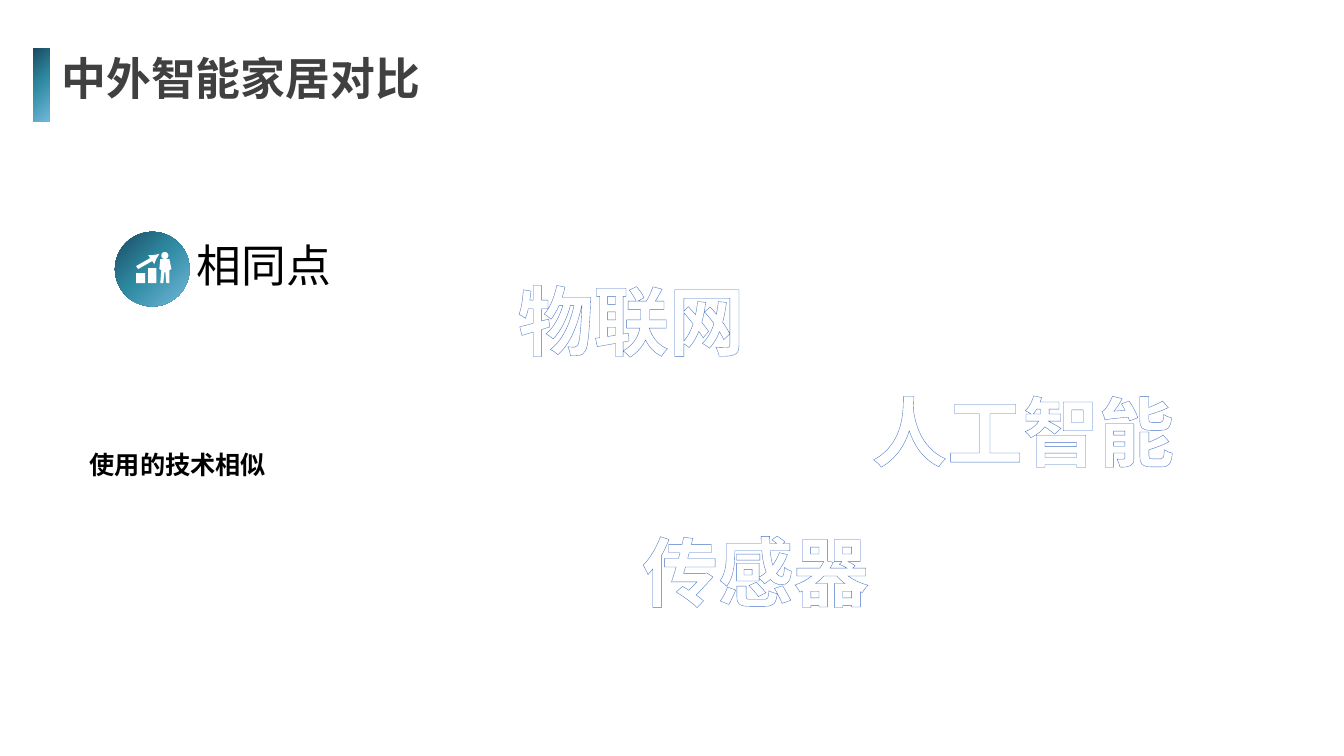
import math
from dataclasses import dataclass

import lxml.etree
import pptx
import pptx.dml.color
import pptx.enum.shapes
import pptx.enum.text
import pptx.oxml
import pptx.oxml.ns
import pptx.util

SCALE = 9144
DRAWING = 'xmlns:a="http://schemas.openxmlformats.org/drawingml/2006/main"'
Point = tuple[float, float]


@dataclass(frozen=True)
class Theme:
    heading_font: str = "Noto Sans CJK SC"
    body_font: str = "Calibri"
    title: str = "404040"
    text: str = "000000"
    icon: str = "FFFFFF"
    outline: str = "4472C4"
    hatch: str = "8FAADC"
    hatch_back: str = "FFFFFF"
    gradient: tuple[tuple[int, str], ...] = (
        (0, "1D4962"), (45, "2C889F"), (100, "71B8DB"))
    heading_size: int = 32
    note_size: int = 18
    keyword_size: int = 54


THEME = Theme()


@dataclass(frozen=True)
class Area:
    left: int
    top: int
    width: int
    height: int

    def emu(self) -> tuple[int, int, int, int]:
        return px(self.left), px(self.top), px(self.width), px(self.height)


@dataclass(frozen=True)
class Label:
    text: str
    area: Area
    size: int
    font: str
    bold: bool = False
    line_spacing: float = 1.0


@dataclass(frozen=True)
class Keyword:
    text: str
    area: Area


LABELS = (
    Label("使用的技术相似", Area(89, 446, 341, 30), THEME.note_size,
          THEME.heading_font, bold=True),
    Label("相同点", Area(195, 225, 320, 60), THEME.heading_size,
          THEME.body_font, line_spacing=1.2),
)
KEYWORDS = (
    Keyword("人工智能", Area(853, 377, 323, 101)),
    Keyword("传感器", Area(626, 516, 247, 101)),
    Keyword("物联网", Area(502, 267, 248, 101)),
)
LOW_BAR = ((135, 271), (144, 271), (144, 281), (135, 281))
HIGH_BAR = ((147, 266), (155, 266), (155, 281), (147, 281))
ARROW = ((158, 252), (155, 257), (153, 262), (151, 259), (137, 267),
         (135, 264), (149, 256), (147, 253), (152, 253))
PERSON = ((158, 267), (160, 268), (159, 281), (162, 281), (163, 270),
          (164, 270), (165, 281), (168, 281), (168, 268), (170, 267),
          (168, 257), (159, 257))


def px(value: float) -> int:
    return round(value * SCALE)


def circle(center: Point, radius: float, steps: int = 24) -> tuple[Point, ...]:
    angles = [math.tau * step / steps for step in range(steps)]
    return tuple((center[0] + radius * math.cos(angle),
                  center[1] + radius * math.sin(angle)) for angle in angles)


def format_text(box, text: str, font: str, size: int, bold: bool):
    box.text_frame.text = text
    para = box.text_frame.paragraphs[0]
    para.alignment = pptx.enum.text.PP_ALIGN.LEFT
    span = para.runs[0]
    span.font.name = font
    span.font.size = pptx.util.Pt(size)
    span.font.bold = bold
    return para, span


def color_text(span, color: str) -> None:
    span.font.color.rgb = pptx.dml.color.RGBColor.from_string(color)
    if span.font.name == THEME.heading_font:
        east = lxml.etree.SubElement(span._r.get_or_add_rPr(),
                                     pptx.oxml.ns.qn("a:ea"))
        east.set("typeface", THEME.heading_font)


def fit_box(box, wrap: bool = True) -> None:
    frame = box.text_frame
    frame.word_wrap = wrap
    frame.auto_size = pptx.enum.text.MSO_AUTO_SIZE.SHAPE_TO_FIT_TEXT
    frame.vertical_anchor = pptx.enum.text.MSO_ANCHOR.TOP


def add_title(page, text: str, area: Area) -> None:
    box = page.shapes.title
    box.left, box.top, box.width, box.height = area.emu()
    fit_box(box)
    _, span = format_text(box, text, THEME.heading_font,
                          THEME.heading_size, True)
    color_text(span, THEME.title)


def add_label(page, label: Label) -> None:
    box = page.shapes.add_textbox(*label.area.emu())
    fit_box(box)
    frame = box.text_frame
    frame.margin_left = frame.margin_right = 0
    frame.margin_top = frame.margin_bottom = 0
    para, span = format_text(box, label.text, label.font, label.size,
                             label.bold)
    para.line_spacing = label.line_spacing
    color_text(span, THEME.text)


def add_keyword(page, keyword: Keyword) -> None:
    box = page.shapes.add_textbox(*keyword.area.emu())
    fit_box(box, wrap=False)
    para, span = format_text(box, keyword.text, THEME.body_font,
                             THEME.keyword_size, True)
    para.alignment = pptx.enum.text.PP_ALIGN.CENTER
    properties = span._r.get_or_add_rPr()
    properties.insert(0, pptx.oxml.parse_xml(
        f'<a:ln {DRAWING} w="12700"><a:solidFill>'
        f'<a:srgbClr val="{THEME.outline}"/></a:solidFill></a:ln>'))
    properties.insert(1, pptx.oxml.parse_xml(
        f'<a:pattFill {DRAWING} prst="ltDnDiag">'
        f'<a:fgClr><a:srgbClr val="{THEME.hatch}"/></a:fgClr>'
        f'<a:bgClr><a:srgbClr val="{THEME.hatch_back}"/></a:bgClr>'
        '</a:pattFill>'))


def add_gradient_shape(page, kind: pptx.enum.shapes.MSO_SHAPE,
                       area: Area) -> None:
    shape = page.shapes.add_shape(kind, *area.emu())
    shape.shadow.inherit = False
    shape.line.fill.background()
    shape.fill.gradient()
    shape.fill.gradient_angle = 315
    stops = next(shape._element.iter(pptx.oxml.ns.qn("a:gsLst")))
    for stop in list(stops):
        stops.remove(stop)
    for percent, color in THEME.gradient:
        stops.append(pptx.oxml.parse_xml(
            f'<a:gs {DRAWING} pos="{percent * 1000}">'
            f'<a:srgbClr val="{color}"/></a:gs>'))


def add_growth_icon(page) -> None:
    outlines = [[(px(x), px(y)) for x, y in outline] for outline in
                (LOW_BAR, ARROW, circle((163.5, 253.5), 3.5), PERSON, HIGH_BAR)]
    builder = page.shapes.build_freeform(*outlines[0][0])
    for index, outline in enumerate(outlines):
        if index:
            builder.move_to(*outline[0])
        builder.add_line_segments(outline[1:], close=True)
    icon = builder.convert_to_shape()
    icon.shadow.inherit = False
    icon.line.fill.background()
    icon.fill.solid()
    icon.fill.fore_color.rgb = pptx.dml.color.RGBColor.from_string(THEME.icon)


def main() -> None:
    deck = pptx.Presentation()
    deck.slide_width, deck.slide_height = px(1333), px(750)
    page = deck.slides.add_slide(deck.slide_layouts[5])
    add_gradient_shape(page, pptx.enum.shapes.MSO_SHAPE.OVAL,
                       Area(114, 230, 74, 74))
    add_growth_icon(page)
    for label in LABELS:
        add_label(page, label)
    add_title(page, "中外智能家居对比", Area(51, 45, 389, 64))
    add_gradient_shape(page, pptx.enum.shapes.MSO_SHAPE.RECTANGLE,
                       Area(33, 48, 16, 73))
    for keyword in KEYWORDS:
        add_keyword(page, keyword)
    deck.save("out.pptx")


if __name__ == "__main__":
    main()
